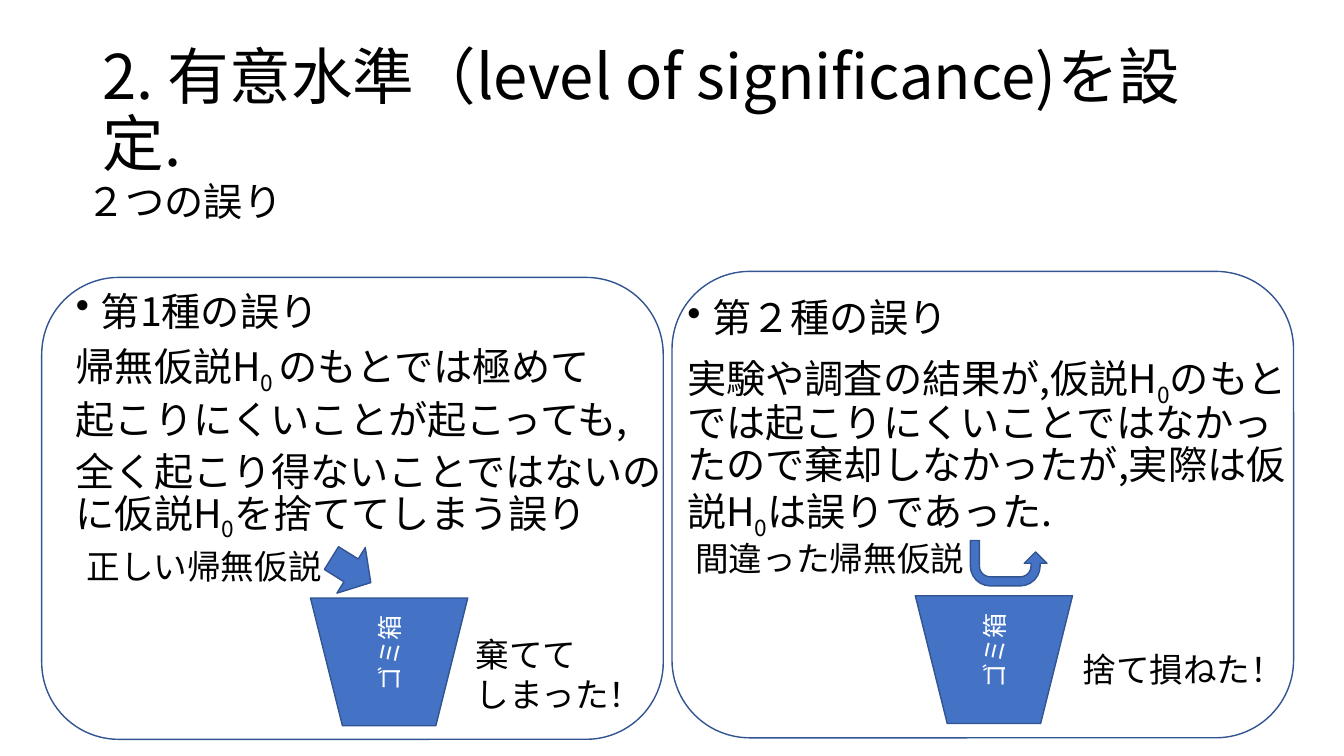
from lxml import etree
from pptx import Presentation
from pptx.dml.color import RGBColor
from pptx.enum.shapes import MSO_SHAPE
from pptx.enum.text import MSO_ANCHOR, MSO_AUTO_SIZE, PP_ALIGN
from pptx.oxml.ns import qn
from pptx.util import Inches, Pt

TRAPEZOID = MSO_SHAPE.TRAPEZOID
RIGHT_ARROW = MSO_SHAPE.RIGHT_ARROW
U_TURN = MSO_SHAPE.U_TURN_ARROW
ROUNDED = MSO_SHAPE.ROUNDED_RECTANGLE
MIDDLE, TOP = MSO_ANCHOR.MIDDLE, MSO_ANCHOR.TOP
LEFT, CENTER = PP_ALIGN.LEFT, PP_ALIGN.CENTER
GROW = MSO_AUTO_SIZE.SHAPE_TO_FIT_TEXT

FONT = "Noto Sans CJK JP"
COLORS = {"text": "000000", "fill": "4472C4", "line": "325491", "light": "FFFFFF"}
WIDTH, HEIGHT = Inches(13.33), Inches(7.5)
PANEL_WIDTH = 46.25
BIN_SIZE = (11.7, 16.9)
LABEL_HEIGHT = 6.7


def color(name):
    """Return a named colour."""
    return RGBColor.from_string(COLORS[name])


def place(left, top, width, height):
    """Turn percentages of the slide into lengths."""
    return [round(share * side / 100) for share, side in
            ((left, WIDTH), (top, HEIGHT), (width, WIDTH), (height, HEIGHT))]


def add_bullet(para):
    """Give a paragraph a hanging bullet."""
    props = para._p.get_or_add_pPr()
    props.set("marL", str(Inches(0.25)))
    props.set("indent", str(-Inches(0.25)))
    etree.SubElement(props, qn("a:buChar")).set("char", "•")


def write(frame, lines, size, ink="text", align=LEFT, spacing=None, before=0, bullet=False):
    """Write paragraphs, lowering each piece between underscores."""
    for index, line in enumerate(lines):
        para = frame.paragraphs[0] if index == 0 else frame.add_paragraph()
        para.alignment = align
        if spacing:
            para.line_spacing = spacing
        if index:
            para.space_before = Pt(before)
        elif bullet:
            add_bullet(para)
        for number, piece in enumerate(line.split("_")):
            span = para.add_run()
            span.text = piece
            span.font.size = Pt(size)
            span.font.name = FONT
            span.font.color.rgb = color(ink)
            props = span._r.get_or_add_rPr()
            etree.SubElement(props, qn("a:ea")).set("typeface", FONT)
            if number % 2:
                props.set("baseline", "-25000")


def add_text(page, area, lines, size=28, wrap=True, anchor=TOP, **style):
    """Add a text box."""
    frame = page.shapes.add_textbox(*place(*area)).text_frame
    frame.word_wrap = wrap
    frame.vertical_anchor = anchor
    if not wrap:
        frame.auto_size = GROW
    write(frame, lines, size, **style)


def add_label(page, area, lines):
    """Add a short caption on unwrapped lines."""
    add_text(page, area, lines, size=24, wrap=False)


def add_figure(page, kind, area, turn=0, filled=True):
    """Add an outlined preset shape."""
    shape = page.shapes.add_shape(kind, *place(*area))
    shape.shadow.inherit = False
    shape.rotation = turn
    shape.line.color.rgb = color("line")
    shape.line.width = Pt(1)
    if filled:
        shape.fill.solid()
        shape.fill.fore_color.rgb = color("fill")
    else:
        shape.fill.background()
    return shape


def add_bin(page, left, top):
    """Add a waste bin with its sideways name."""
    frame = add_figure(page, TRAPEZOID, (left, top, *BIN_SIZE), turn=180).text_frame
    frame.vertical_anchor = MIDDLE
    frame._txBody.bodyPr.set("vert", "vert")
    write(frame, ["ゴミ箱"], 18, ink="light", align=CENTER)


def add_return_arrow(page, area):
    """Add an arrow that turns back out of the bin."""
    arrow = add_figure(page, U_TURN, area, turn=180)
    arrow._element.spPr.find(qn("a:xfrm")).set("flipH", "1")
    for index, value in enumerate((0.2, 0.25, 0.25, 0.44, 0.75)):
        arrow.adjustments[index] = value


def main():
    """Build the slide on the two kinds of error."""
    deck = Presentation()
    deck.slide_width, deck.slide_height = WIDTH, HEIGHT
    page = deck.slides.add_slide(deck.slide_layouts[6])

    add_text(page, (6.9, 5.3, 86.25, 19.3), ["2. 有意水準（level of significance)を設定."],
             size=44, anchor=MIDDLE, spacing=0.9)
    add_text(page, (5.7, 23.5, 86.25, 13.7), ["２つの誤り"], spacing=0.9)

    add_text(page, (4.9, 38.5, 46.1, 34), [
        "第1種の誤り",
        "帰無仮説H_0 _のもとでは極めて",
        "起こりにくいことが起こっても,",
        "全く起こり得ないことではないのに仮説H_0_を捨ててしまう誤り",
    ], spacing=0.8, before=10, bullet=True)
    add_text(page, (50.4, 38.9, 46.1, 43.1), [
        "第２種の誤り",
        "実験や調査の結果が,仮説H_0_のもとでは起こりにくいことではなかったので"
        "棄却しなかったが,実際は仮説H_0_は誤りであった.",
    ], spacing=0.9, before=10, bullet=True)

    add_bin(page, 23.1, 79.1)
    add_label(page, (5.7, 71.6, 19.2, LABEL_HEIGHT), ["正しい帰無仮説"])
    add_figure(page, RIGHT_ARROW, (24.4, 71.9, 3.45, 7.1), turn=31.9)
    add_label(page, (34.65, 83.2, 14.1, 12.1), ["棄てて", "しまった！"])

    add_bin(page, 68.1, 78.8)
    add_label(page, (51, 70.5, 21.7, LABEL_HEIGHT), ["間違った帰無仮説"])
    add_return_arrow(page, (72.2, 71.5, 5.7, 6))
    add_label(page, (79.8, 85.2, 16.65, LABEL_HEIGHT), ["捨て損ねた！"])

    for left, top, height in ((3.1, 36.7, 61.1), (50, 35.9, 61.7)):
        add_figure(page, ROUNDED, (left, top, PANEL_WIDTH, height), filled=False)

    deck.save("out.pptx")


if __name__ == "__main__":
    main()
